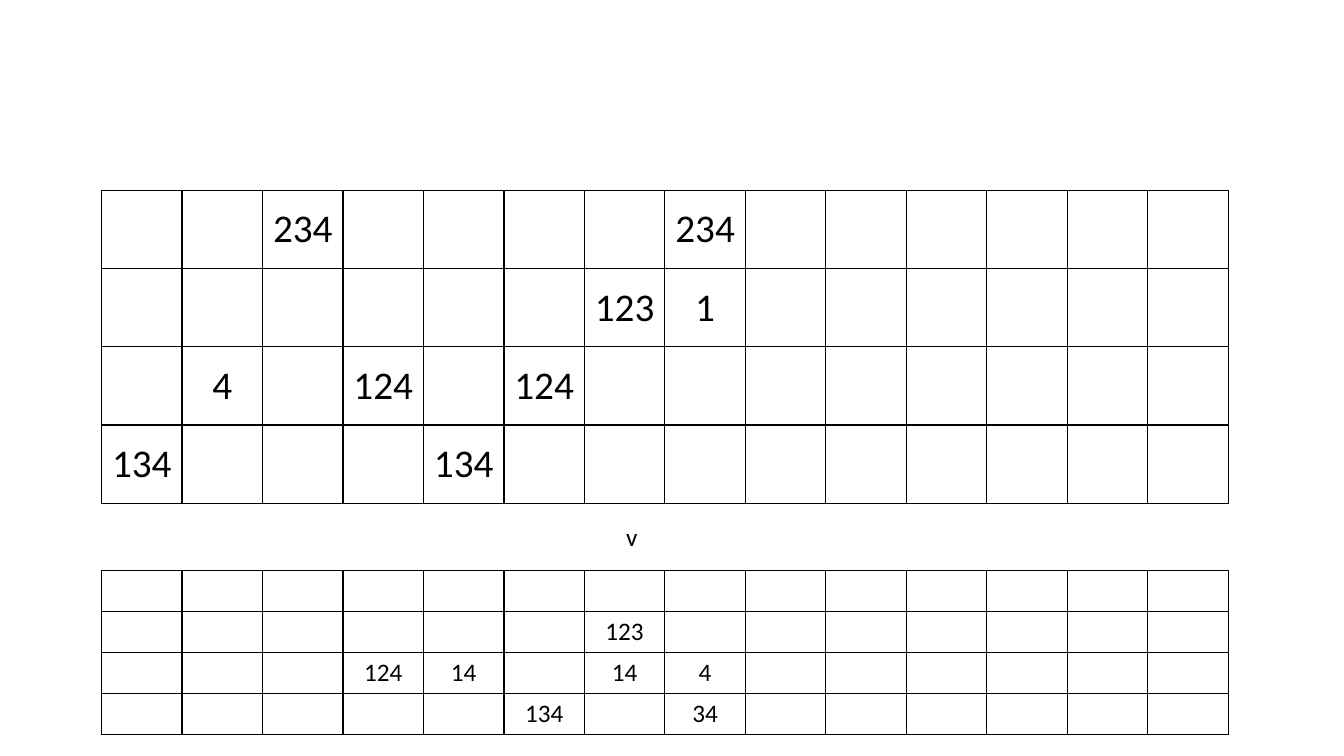
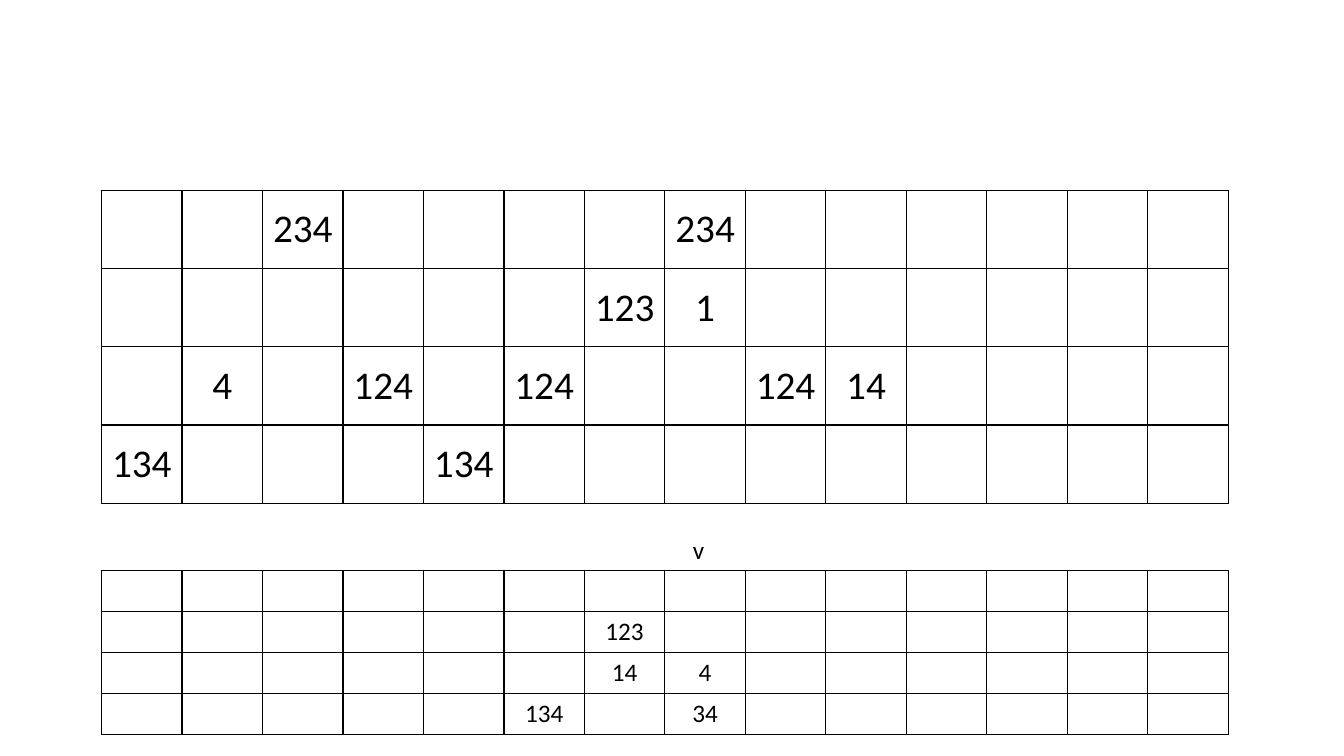
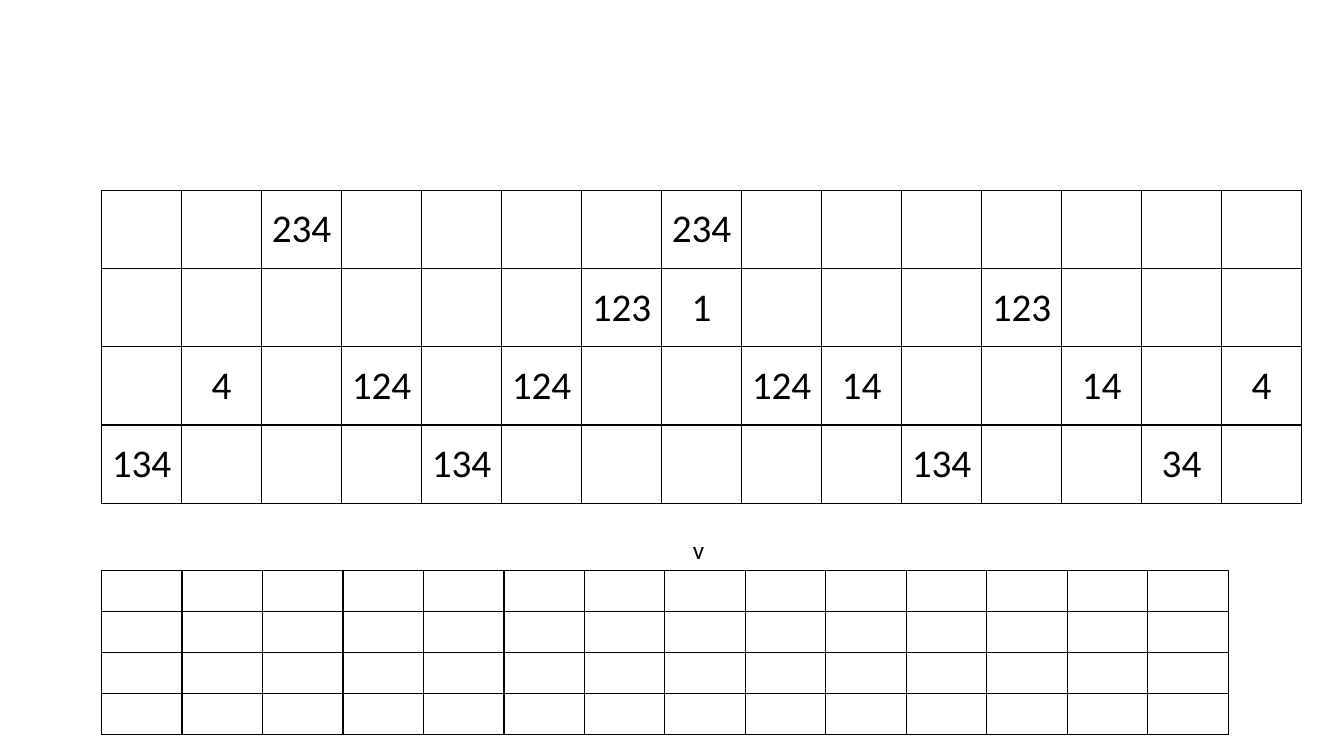
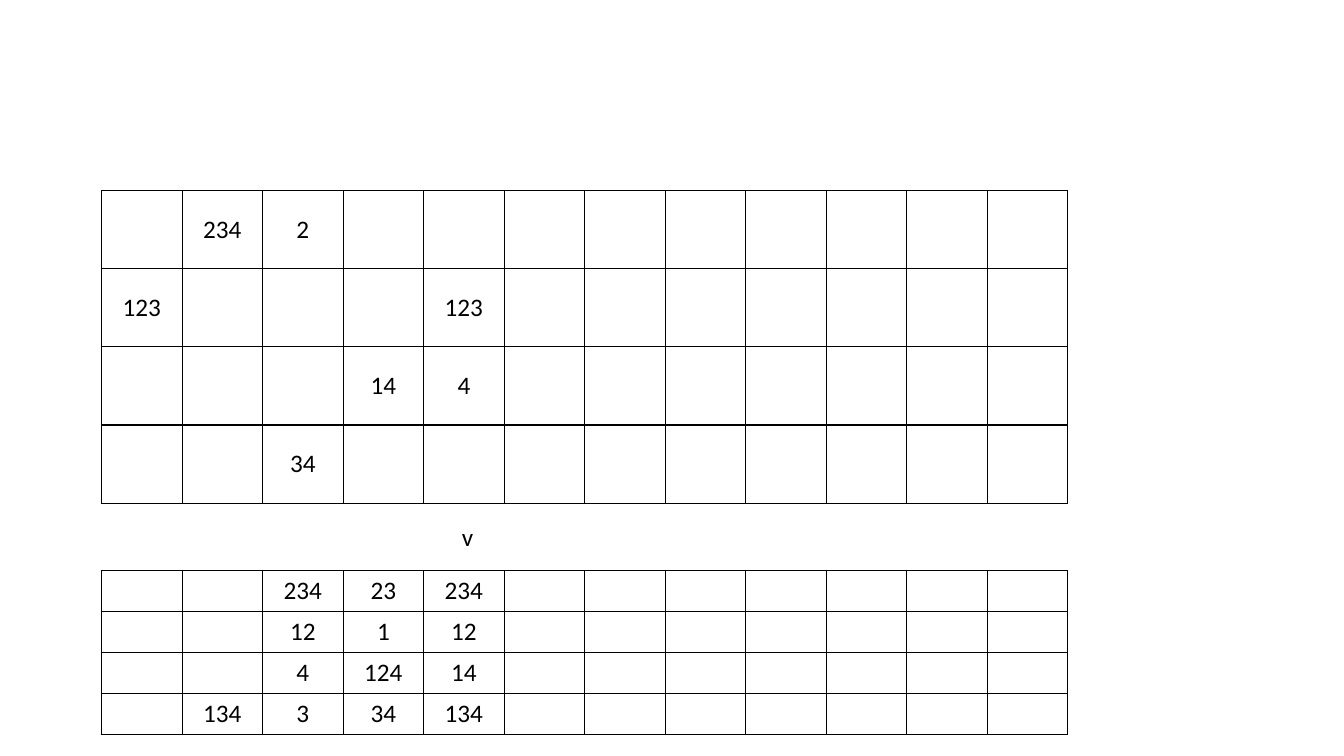
from dataclasses import dataclass, field

from lxml.etree import SubElement
from pptx import Presentation
from pptx.dml.color import RGBColor
from pptx.enum.text import MSO_ANCHOR, MSO_AUTO_SIZE, PP_ALIGN
from pptx.oxml.ns import qn
from pptx.slide import Slide
from pptx.table import _Cell
from pptx.text.text import _Paragraph
from pptx.util import Cm, Pt

BLACK = RGBColor(0x00, 0x00, 0x00)
WHITE = RGBColor(0xFF, 0xFF, 0xFF)
FONT = "Calibri"
BORDER = Pt(1)
SMALL, LARGE = 18, 28

ROWS = 4
GRID_LEFT = 2.56
UPPER_TOP, UPPER_ROW = 4.8, 1.97
LOWER_TOP, LOWER_ROW = 14.38, 1.03
MARKER_WIDTH, MARKER_HEIGHT = 0.81, 1.03

Entries = dict[tuple[int, int], str]  # (row, column) -> digits


@dataclass(frozen=True)
class Grid:
    entries: Entries = field(default_factory=dict)
    columns: int = 14
    width: float = 28.4
    size: int = SMALL


@dataclass(frozen=True)
class Step:
    upper: Grid
    lower: Grid
    marker_left: float
    marker_top: float


FIRST_PLACED: Entries = {
    (0, 2): "234", (0, 7): "234",
    (1, 6): "123", (1, 7): "1",
    (2, 1): "4", (2, 3): "124", (2, 5): "124",
    (3, 0): "134", (3, 4): "134",
}
SECOND_PLACED = FIRST_PLACED | {(2, 8): "124", (2, 9): "14"}
ALL_PLACED = SECOND_PLACED | {
    (1, 11): "123",
    (2, 12): "14", (2, 14): "4",
    (3, 10): "134", (3, 13): "34",
}
REMAINING: Entries = {
    (1, 6): "123",
    (2, 6): "14", (2, 7): "4",
    (3, 5): "134", (3, 7): "34",
}
SHORT_PLACED: Entries = {
    (0, 1): "234", (0, 2): "2",
    (1, 0): "123", (1, 4): "123",
    (2, 3): "14", (2, 4): "4",
    (3, 2): "34",
}
SHORT_REMAINING: Entries = {
    (0, 2): "234", (0, 3): "23", (0, 4): "234",
    (1, 2): "12", (1, 3): "1", (1, 4): "12",
    (2, 2): "4", (2, 3): "124", (2, 4): "14",
    (3, 1): "134", (3, 2): "3", (3, 3): "34", (3, 4): "134",
}

STEPS = [
    Step(Grid(FIRST_PLACED, size=LARGE),
         Grid(REMAINING | {(2, 3): "124", (2, 4): "14"}), 15.52, 13),
    Step(Grid(SECOND_PLACED, size=LARGE), Grid(REMAINING), 17.2, 13.34),
    Step(Grid(ALL_PLACED, columns=15, width=30.25, size=LARGE), Grid(), 17.2, 13.34),
    Step(Grid(SHORT_PLACED, columns=12, width=24.35),
         Grid(SHORT_REMAINING, columns=12, width=24.35), 11.38, 13),
]


def write_centred(paragraph: _Paragraph, text: str, size: int) -> None:
    paragraph.text = text
    paragraph.alignment = PP_ALIGN.CENTER
    paragraph.font.name = FONT
    paragraph.font.size = Pt(size)
    paragraph.font.color.rgb = BLACK


def add_borders(cell: _Cell) -> None:
    properties = cell._tc.get_or_add_tcPr()
    for side in ("a:lnL", "a:lnR", "a:lnT", "a:lnB"):
        line = SubElement(properties, qn(side), w=str(BORDER))
        solid = SubElement(line, qn("a:solidFill"))
        SubElement(solid, qn("a:srgbClr"), val=str(BLACK))


def draw_grid(slide: Slide, grid: Grid, top: float, row_height: float) -> None:
    table = slide.shapes.add_table(
        ROWS, grid.columns, Cm(GRID_LEFT), Cm(top), Cm(grid.width), Cm(ROWS * row_height)
    ).table
    table.first_row = False
    table.horz_banding = False
    for row in range(ROWS):
        for column in range(grid.columns):
            cell = table.cell(row, column)
            cell.vertical_anchor = MSO_ANCHOR.MIDDLE
            add_borders(cell)
            cell.fill.solid()
            cell.fill.fore_color.rgb = WHITE
            if digits := grid.entries.get((row, column)):
                write_centred(cell.text_frame.paragraphs[0], digits, grid.size)


def draw_marker(slide: Slide, left: float, top: float) -> None:
    frame = slide.shapes.add_textbox(
        Cm(left), Cm(top), Cm(MARKER_WIDTH), Cm(MARKER_HEIGHT)
    ).text_frame
    frame.word_wrap = False
    frame.auto_size = MSO_AUTO_SIZE.SHAPE_TO_FIT_TEXT
    write_centred(frame.paragraphs[0], "v", SMALL)


def main() -> None:
    deck = Presentation()
    deck.slide_width, deck.slide_height = Cm(33.87), Cm(19.05)
    blank = deck.slide_layouts[6]
    for step in STEPS:
        slide = deck.slides.add_slide(blank)
        draw_grid(slide, step.upper, UPPER_TOP, UPPER_ROW)
        draw_grid(slide, step.lower, LOWER_TOP, LOWER_ROW)
        draw_marker(slide, step.marker_left, step.marker_top)
    deck.save("out.pptx")


if __name__ == "__main__":
    main()
